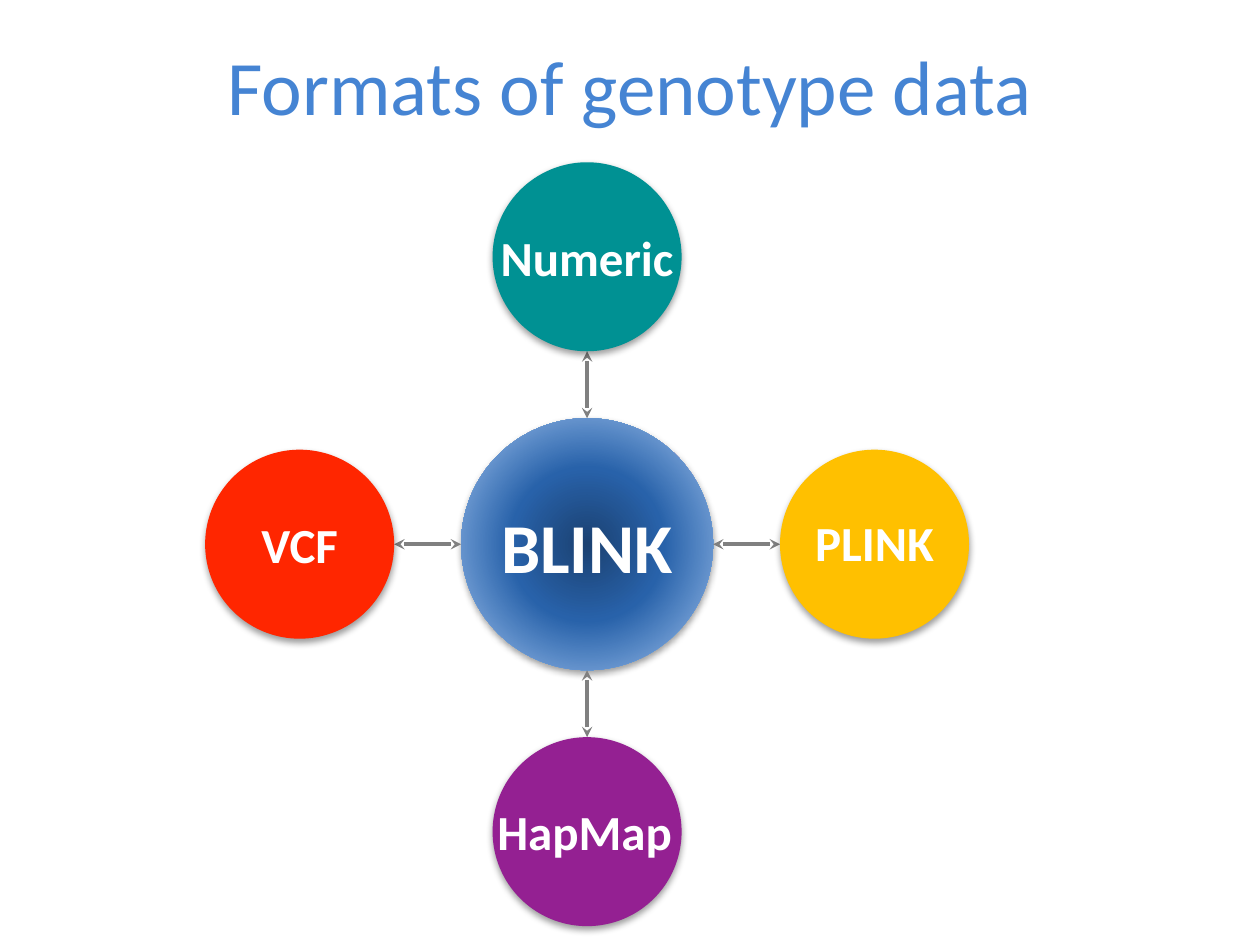
import pptx
import pptx.dml.color
import pptx.enum.shapes
import pptx.enum.text
import pptx.oxml
import pptx.oxml.ns
import pptx.util

Pt = pptx.util.Pt
RGBColor = pptx.dml.color.RGBColor
MIDDLE = pptx.enum.text.MSO_ANCHOR.MIDDLE
CENTER = pptx.enum.text.PP_ALIGN.CENTER
FONT = "Calibri"
NAMESPACE = pptx.oxml.ns.nsdecls("a")

TITLE_BLUE = RGBColor(0x45, 0x84, 0xD3)
WHITE = RGBColor(0xFF, 0xFF, 0xFF)
GRAY = RGBColor(0x80, 0x80, 0x80)
TEAL = RGBColor(0x00, 0x91, 0x93)
YELLOW = RGBColor(0xFF, 0xC0, 0x00)
RED = RGBColor(0xFF, 0x26, 0x00)
PURPLE = RGBColor(0x94, 0x20, 0x92)
HUB_STOPS = [
    (0, RGBColor(0x1B, 0x41, 0x71)),
    (43, RGBColor(0x28, 0x62, 0xAA)),
    (90, RGBColor(0x8F, 0xB5, 0xE5)),
    (97, WHITE),
]

# Circle geometry
HUB_X, HUB_Y = 335.5, 311
HUB_RADIUS, FORMAT_RADIUS = 72, 54
GAP = 38.25
REACH = HUB_RADIUS + GAP + FORMAT_RADIUS

presentation = pptx.Presentation()
presentation.slide_width, presentation.slide_height = Pt(720), Pt(540)
slide = presentation.slides.add_slide(presentation.slide_layouts[5])


def add_circle(x, y, radius):
    """Add an unoutlined circle with a soft shadow below it."""
    circle = slide.shapes.add_shape(
        pptx.enum.shapes.MSO_SHAPE.OVAL,
        Pt(x - radius), Pt(y - radius), Pt(2 * radius), Pt(2 * radius))
    circle.line.fill.background()
    circle.shadow.inherit = False
    effects = circle._element.spPr.find(pptx.oxml.ns.qn("a:effectLst"))
    effects.append(pptx.oxml.parse_xml(
        f'<a:outerShdw {NAMESPACE} blurRad="{Pt(4)}" dist="{Pt(2)}" dir="5400000" '
        'rotWithShape="0"><a:srgbClr val="000000"><a:alpha val="38000"/>'
        '</a:srgbClr></a:outerShdw>'))
    return circle


def add_label(text, x, y, width, height, size):
    """Add a bold white label centred on a point."""
    label = slide.shapes.add_textbox(
        Pt(x - width / 2), Pt(y - height / 2), Pt(width), Pt(height))
    label.text_frame.word_wrap = False
    label.text_frame.auto_size = pptx.enum.text.MSO_AUTO_SIZE.SHAPE_TO_FIT_TEXT
    paragraph = label.text_frame.paragraphs[0]
    paragraph.text = text
    paragraph.alignment = CENTER
    paragraph.font.name = FONT
    paragraph.font.size = Pt(size)
    paragraph.font.bold = True
    paragraph.font.color.rgb = WHITE


# Title
title = slide.shapes.title
title.left, title.top, title.width, title.height = Pt(36), Pt(-0.7), Pt(648), Pt(98.6)
title.text_frame.vertical_anchor = MIDDLE
paragraph = title.text_frame.paragraphs[0]
paragraph.text = "Formats of genotype data"
paragraph.alignment = CENTER
paragraph.font.name = FONT
paragraph.font.size = Pt(44)
paragraph.font.color.rgb = TITLE_BLUE

# Hub with a radial gradient
hub = add_circle(HUB_X, HUB_Y, HUB_RADIUS)
hub.fill.gradient()
hub_properties = hub._element.spPr
stops = "".join(
    f'<a:gs pos="{position * 1000}"><a:srgbClr val="{color}"/></a:gs>'
    for position, color in HUB_STOPS)
hub_properties.replace(
    hub_properties.find(pptx.oxml.ns.qn("a:gradFill")),
    pptx.oxml.parse_xml(
        f'<a:gradFill {NAMESPACE} rotWithShape="1"><a:gsLst>{stops}</a:gsLst>'
        '<a:path path="circle"><a:fillToRect l="50000" t="50000" r="50000" b="50000"/>'
        '</a:path></a:gradFill>'))

# Formats: name, direction from the hub, colour, label width, label shift
formats = [
    ("Numeric", 0, -1, TEAL, 117.4, 0, 0),
    ("PLINK", 1, 0, YELLOW, 87.1, 0, -1),
    ("VCF", -1, 0, RED, 60.5, 0, 0),
    ("HapMap", 0, 1, PURPLE, 116.6, -1.5, 0),
]

# Double-headed arrows
for name, dx, dy, color, width, shift_x, shift_y in formats:
    near, far = HUB_RADIUS, HUB_RADIUS + GAP
    arrow = slide.shapes.add_connector(
        pptx.enum.shapes.MSO_CONNECTOR.STRAIGHT,
        Pt(HUB_X + dx * far), Pt(HUB_Y + dy * far),
        Pt(HUB_X + dx * near), Pt(HUB_Y + dy * near))
    arrow.line.color.rgb = GRAY
    arrow.line.width = Pt(2)
    outline = arrow.line._get_or_add_ln()
    for end in ("headEnd", "tailEnd"):
        outline.append(pptx.oxml.parse_xml(f'<a:{end} {NAMESPACE} type="stealth"/>'))
    arrow._element.spPr.append(pptx.oxml.parse_xml(f"<a:effectLst {NAMESPACE}/>"))

# Format circles
for name, dx, dy, color, width, shift_x, shift_y in formats:
    circle = add_circle(HUB_X + dx * REACH, HUB_Y + dy * REACH, FORMAT_RADIUS)
    circle.fill.solid()
    circle.fill.fore_color.rgb = color

# Labels
add_label("BLINK", HUB_X, HUB_Y + 1, 120.2, 55.4, 40)
for name, dx, dy, color, width, shift_x, shift_y in formats:
    add_label(name, HUB_X + dx * REACH + shift_x, HUB_Y + dy * REACH + shift_y,
              width, 41, 28)

presentation.save("out.pptx")
